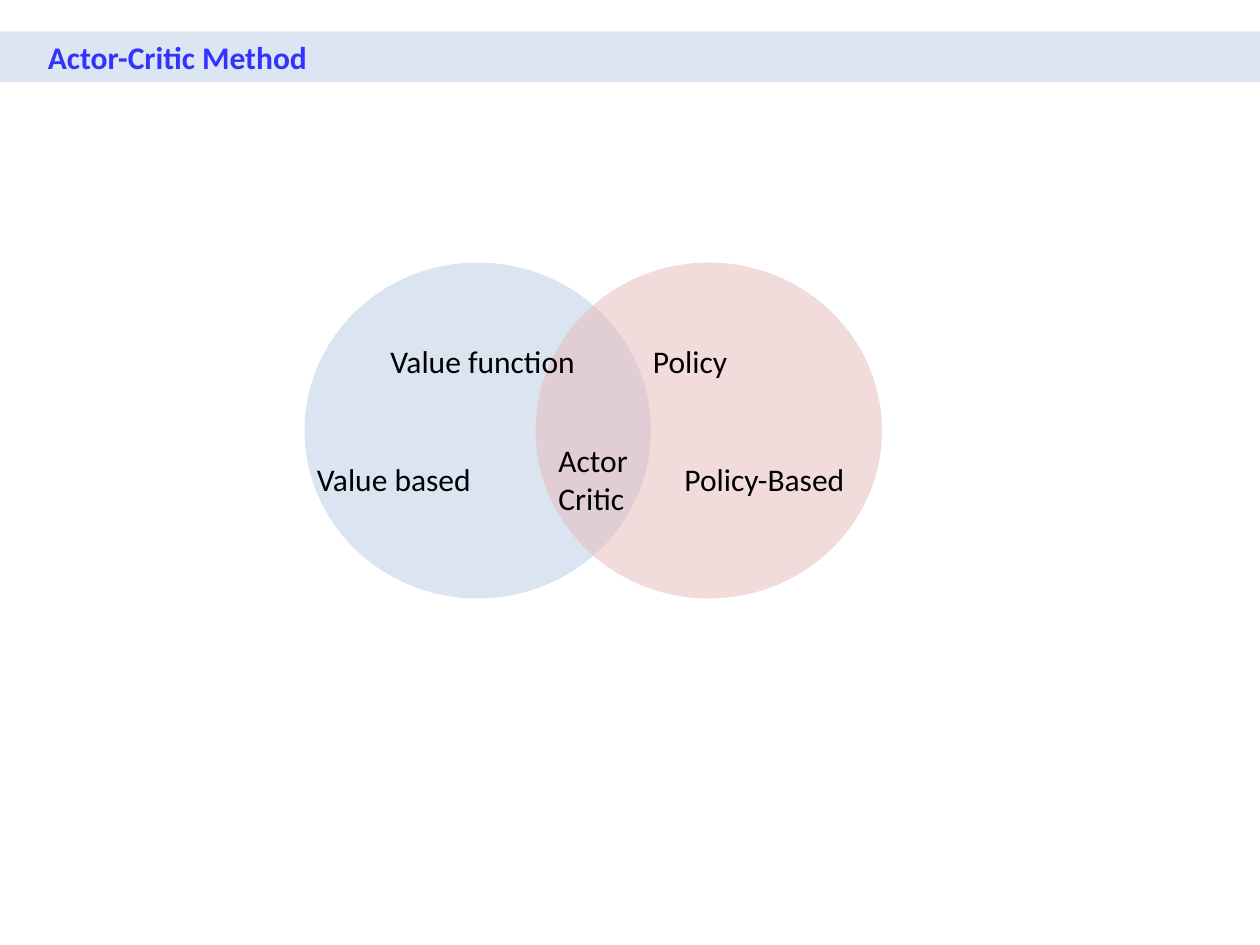
from dataclasses import dataclass

from lxml import etree
from pptx import Presentation
from pptx.dml.color import RGBColor
from pptx.enum.shapes import MSO_SHAPE
from pptx.enum.text import MSO_ANCHOR, PP_ALIGN
from pptx.oxml.ns import qn
from pptx.util import Inches, Pt

RECT, OVAL = MSO_SHAPE.RECTANGLE, MSO_SHAPE.OVAL
LEFT, MIDDLE = PP_ALIGN.LEFT, MSO_ANCHOR.MIDDLE
UNIT = Inches(10) // 120


@dataclass(frozen=True)
class Theme:
    """Colours and type of the slide."""
    band: str = "DCE6F2"
    title: str = "3333FF"
    value: str = "B9CDE5"
    policy: str = "E6B9B8"
    text: str = "000000"
    font: str = "Calibri"
    size: int = 18


THEME = Theme()


def place(col, row, wide, high):
    """Turn grid columns and rows into lengths."""
    return [round(n * UNIT) for n in (col, row, wide, high)]


def apply(item, form):
    """Set each attribute named in a dict."""
    for name, value in form.items():
        setattr(item, name, value)


def write(shape, lines, color, bold=False, inset=0.1):
    """Write one paragraph per line into a shape."""
    frame = shape.text_frame
    apply(frame, {"word_wrap": True, "vertical_anchor": MIDDLE,
                  "margin_left": Inches(inset)})
    frame.text = "\n".join(lines)
    for para in frame.paragraphs:
        para.alignment = LEFT
        apply(para.runs[0].font, {"name": THEME.font, "size": Pt(THEME.size), "bold": bold})
        para.runs[0].font.color.rgb = RGBColor.from_string(color)


def draw(slide, kind, box, color, alpha=100):
    """Add a plain filled shape without outline or shadow."""
    shape = slide.shapes.add_shape(kind, *place(*box))
    shape.shadow.inherit = False
    shape.line.fill.background()
    shape.fill.solid()
    shape.fill.fore_color.rgb = RGBColor.from_string(color)
    if alpha < 100:
        tint = next(shape.fill._xPr.iter(qn("a:srgbClr")))
        etree.SubElement(tint, qn("a:alpha")).set("val", str(alpha * 1000))
    return shape


def label(slide, col, mid, *lines):
    """Add a text box centred on a grid row."""
    high = 1.1 + 3.7 * len(lines)
    box = slide.shapes.add_textbox(*place(col, mid - high / 2, 22, high))
    write(box, lines, THEME.text)


def main():
    """Build the slide and save it."""
    deck = Presentation()
    apply(deck, {"slide_width": 120 * UNIT, "slide_height": 90 * UNIT})
    slide = deck.slides.add_slide(deck.slide_layouts[6])

    band = draw(slide, RECT, (0, 3, 120, 4.8), THEME.band)
    write(band, ["Actor-Critic Method"], THEME.title, True, 0.38)

    for col, color in ((29, THEME.value), (51, THEME.policy)):
        draw(slide, OVAL, (col, 25, 33, 32), color, 50)

    upper, lower = 34.4, 45.6
    label(slide, 36, upper, "Value function")
    label(slide, 61, upper, "Policy")
    label(slide, 29, lower, "Value based")
    label(slide, 52, lower, "Actor", "Critic")
    label(slide, 64, lower, "Policy-Based")
    deck.save("out.pptx")


if __name__ == "__main__":
    main()
